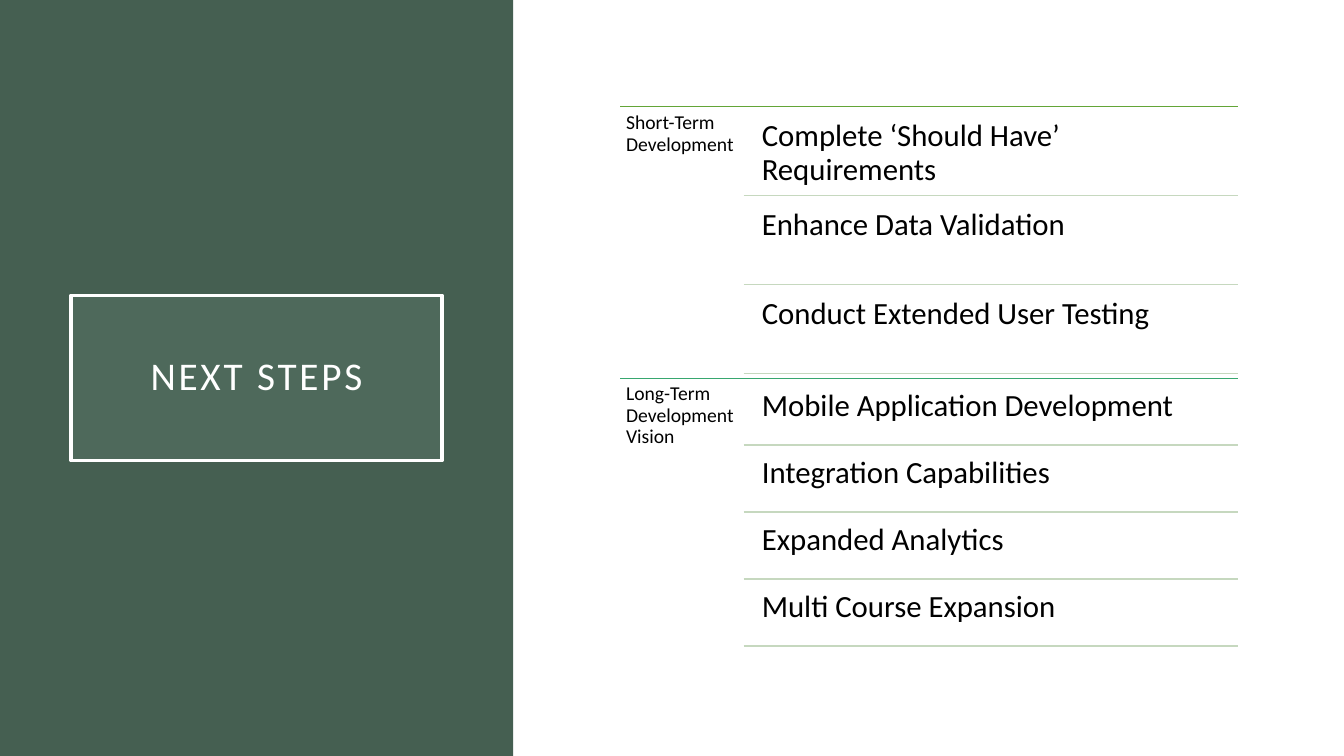
from lxml import etree
from pptx import Presentation
from pptx import util as u
from pptx.dml.color import RGBColor
from pptx.enum import shapes, text
from pptx.oxml.ns import qn

HUES = {"panel": "455F51", "frame": "87A896", "white": "FFFFFF", "ink": "000000",
        "rule": "C6D8BF", "short": "63A537", "long": "37A76F"}
PLAN = [
    ("Short-Term Development", "short",
     ["Complete ‘Should Have’ Requirements", "Enhance Data Validation",
      "Conduct Extended User Testing"]),
    ("Long-Term Development Vision", "long",
     ["Mobile Application Development", "Integration Capabilities",
      "Expanded Analytics", "Multi Course Expansion"]),
]


def hue(name):
    """Return a named colour."""
    return RGBColor.from_string(HUES[name])


def place(box):
    """Turn a box in inches into lengths."""
    return [u.Inches(v) for v in box]


def write(shape, words, size, ink, inset):
    """Fill a shape with one styled paragraph and return the paragraph."""
    frame = shape.text_frame
    frame.word_wrap = True
    frame.auto_size = text.MSO_AUTO_SIZE.NONE
    frame.margin_left = frame.margin_right = u.Inches(inset)
    frame.margin_top = frame.margin_bottom = u.Inches(inset)
    frame.text = words
    para = frame.paragraphs[0]
    para.line_spacing = 0.9
    font = para.runs[0].font
    font.name, font.size, font.color.rgb = "Calibri", u.Pt(size), hue(ink)
    return para


def rule(slide, left, right, top, ink, width):
    """Draw a level line."""
    line = slide.shapes.add_connector(
        shapes.MSO_CONNECTOR.STRAIGHT, *place((left, top, right, top)))
    line.line.color.rgb, line.line.width = hue(ink), u.Pt(width)
    etree.SubElement(line._element.spPr, qn("a:effectLst"))


def note(slide, box, words, size, inset):
    """Add a plain text box."""
    write(slide.shapes.add_textbox(*place(box)), words, size, "ink", inset)


def banner(slide, box):
    """Draw the side panel with the framed title in its middle."""
    left, top, wide, high = box
    panel = slide.shapes.add_shape(shapes.MSO_SHAPE.RECTANGLE, *place(box))
    panel.shadow.inherit = False
    panel.fill.solid()
    panel.fill.fore_color.rgb = hue("panel")
    panel.line.fill.background()
    slide.shapes._spTree.insert(2, panel._element)

    title = slide.shapes.title
    w, h = 3.68, 1.64
    title.left, title.top, title.width, title.height = place(
        (left + (wide - w) / 2, top + (high - h) / 2, w, h))
    title.fill.solid()
    title.fill.fore_color.rgb = hue("frame")
    tint = title._element.spPr.find(".//" + qn("a:srgbClr"))
    etree.SubElement(tint, qn("a:alpha"), val="15000")
    title.line.color.rgb, title.line.width = hue("white"), u.Pt(2.5)
    para = write(title, "NEXT STEPS", 28, "white", 0.2)
    para.alignment = text.PP_ALIGN.CENTER
    para.runs[0].font._element.set("spc", "200")
    title.text_frame.vertical_anchor = text.MSO_ANCHOR.MIDDLE


def section(slide, box, label, ink, items):
    """Draw a labelled section with evenly spaced, ruled items."""
    left, top, wide, high = box
    side = wide / 5
    start, right = left + side, left + wide
    row = high / (len(items) + (len(items) + 1) / 20)
    gap = row / 20
    rule(slide, left, right, top, ink, 0.5)
    note(slide, (left, top, side, high), label, 14, 0.06)
    for i, item in enumerate(items):
        y = top + gap + i * (row + gap)
        note(slide, (start + 0.09, y, right - start - 0.09, row), item, 22, 0.09)
        rule(slide, start, right, y + row, "rule", 1)


def main():
    """Build and save the slide."""
    deck = Presentation()
    deck.slide_width, deck.slide_height = u.Inches(13.33), u.Inches(7.5)
    slide = deck.slides.add_slide(deck.slide_layouts[5])
    banner(slide, (0, 0, 5.09, 7.5))
    high = 2.69
    for i, part in enumerate(PLAN):
        section(slide, (6.15, 1.06 + i * high, 6.13, high), *part)
    deck.save("out.pptx")


if __name__ == "__main__":
    main()
